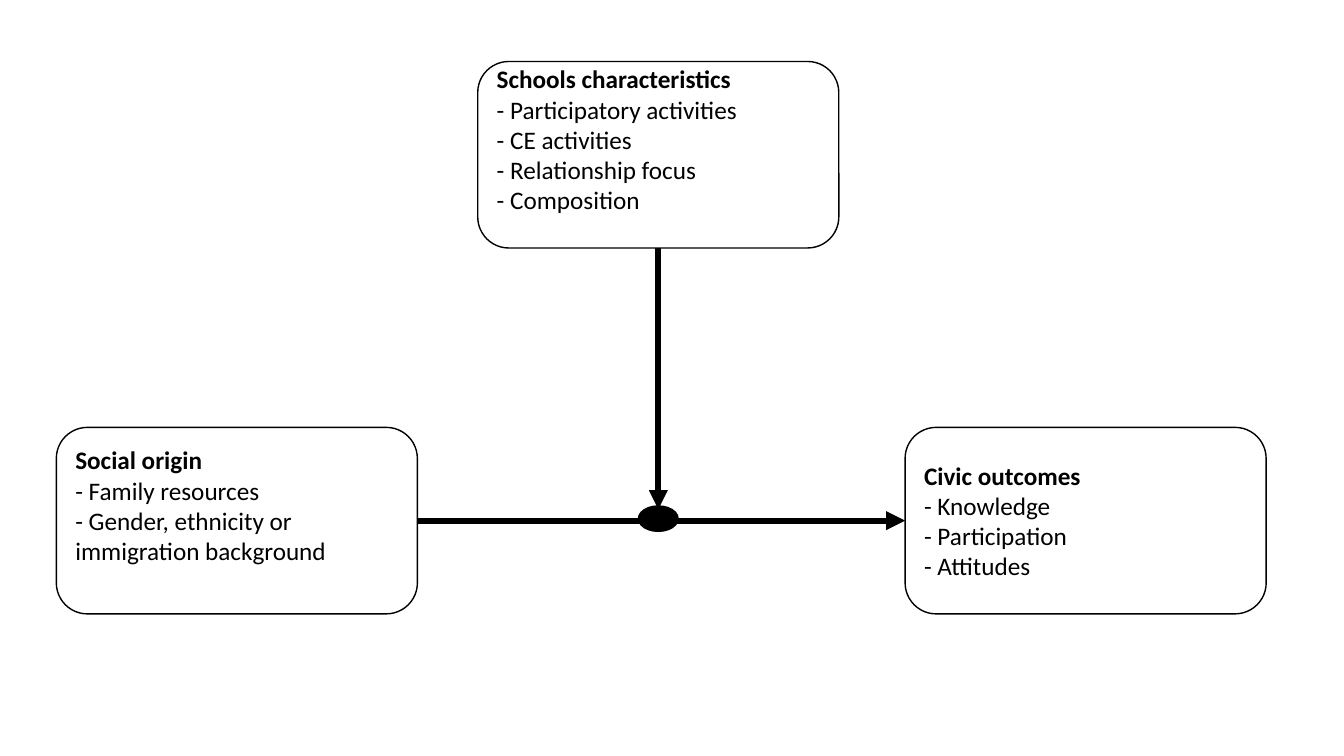
from lxml.etree import SubElement
from pptx import Presentation
from pptx.dml.color import RGBColor
from pptx.enum.shapes import MSO_CONNECTOR, MSO_SHAPE
from pptx.enum.text import MSO_ANCHOR, PP_ALIGN
from pptx.oxml.ns import qn
from pptx.util import Cm, Pt

BLACK = RGBColor(0, 0, 0)
WHITE = RGBColor(255, 255, 255)

BOX_WIDTH, BOX_HEIGHT = Cm(9.1), Cm(4.7)
LOWER_TOP = Cm(10.77)
BOTTOM, LEFT, RIGHT = 2, 1, 3  # connection sites


def add_outlined_shape(page, kind, left, top, width, height, fill):
    shape = page.shapes.add_shape(kind, left, top, width, height)
    shape.shadow.inherit = False
    shape.fill.solid()
    shape.fill.fore_color.rgb = fill
    shape.line.color.rgb = BLACK
    shape.line.width = Pt(1)
    return shape


def add_concept(page, left, top, heading, items, bottom_margin=Cm(0.13)):
    """Rounded box with a bold heading above its dashed items."""
    box = add_outlined_shape(page, MSO_SHAPE.ROUNDED_RECTANGLE, left, top,
                             BOX_WIDTH, BOX_HEIGHT, WHITE)
    frame = box.text_frame
    frame.word_wrap = True
    frame.vertical_anchor = MSO_ANCHOR.MIDDLE
    frame.margin_bottom = bottom_margin
    for index, text in enumerate([heading] + [f"- {item}" for item in items]):
        para = frame.add_paragraph() if index else frame.paragraphs[0]
        para.alignment = PP_ALIGN.LEFT
        span = para.add_run()
        span.text = text
        span.font.name = "Calibri"
        span.font.size = Pt(18)
        span.font.bold = index == 0
        span.font.color.rgb = BLACK
    return box


def add_arrow(page, source, site, end_x, end_y):
    """Thick arrow that leaves a box at the given connection site."""
    arrow = page.shapes.add_connector(MSO_CONNECTOR.STRAIGHT,
                                      end_x, end_y, end_x, end_y)
    arrow.begin_connect(source, site)
    arrow.line.color.rgb = BLACK
    arrow.line.width = Pt(4.5)
    SubElement(arrow.line._get_or_add_ln(), qn("a:tailEnd"), type="triangle")
    SubElement(arrow._element.spPr, qn("a:effectLst"))
    return arrow


def main():
    deck = Presentation()
    deck.slide_width, deck.slide_height = Cm(33.87), Cm(19.05)
    page = deck.slides.add_slide(deck.slide_layouts[6])

    # Concepts; a deeper bottom margin lifts the text
    origin = add_concept(
        page, Cm(1.42), LOWER_TOP, "Social origin",
        ["Family resources", "Gender, ethnicity or immigration background"],
        Cm(0.9))
    outcomes = add_concept(
        page, Cm(22.81), LOWER_TOP, "Civic outcomes",
        ["Knowledge", "Participation", "Attitudes"])
    schools = add_concept(
        page, Cm(12.04), Cm(1.55), "Schools characteristics",
        ["Participatory activities", "CE activities", "Relationship focus",
         "Composition"],
        Cm(0.9))

    # Main effect and the moderating effect of schools
    effect = add_arrow(page, origin, RIGHT, outcomes.left,
                       LOWER_TOP + BOX_HEIGHT // 2)
    effect.end_connect(outcomes, LEFT)
    schools_middle = schools.left + BOX_WIDTH // 2
    add_arrow(page, schools, BOTTOM, schools_middle, Cm(12.83))

    # Junction of the two arrows
    add_outlined_shape(page, MSO_SHAPE.OVAL, schools_middle - Cm(0.5),
                       Cm(12.75), Cm(1), Cm(0.64), BLACK)

    deck.save("out.pptx")


if __name__ == "__main__":
    main()
